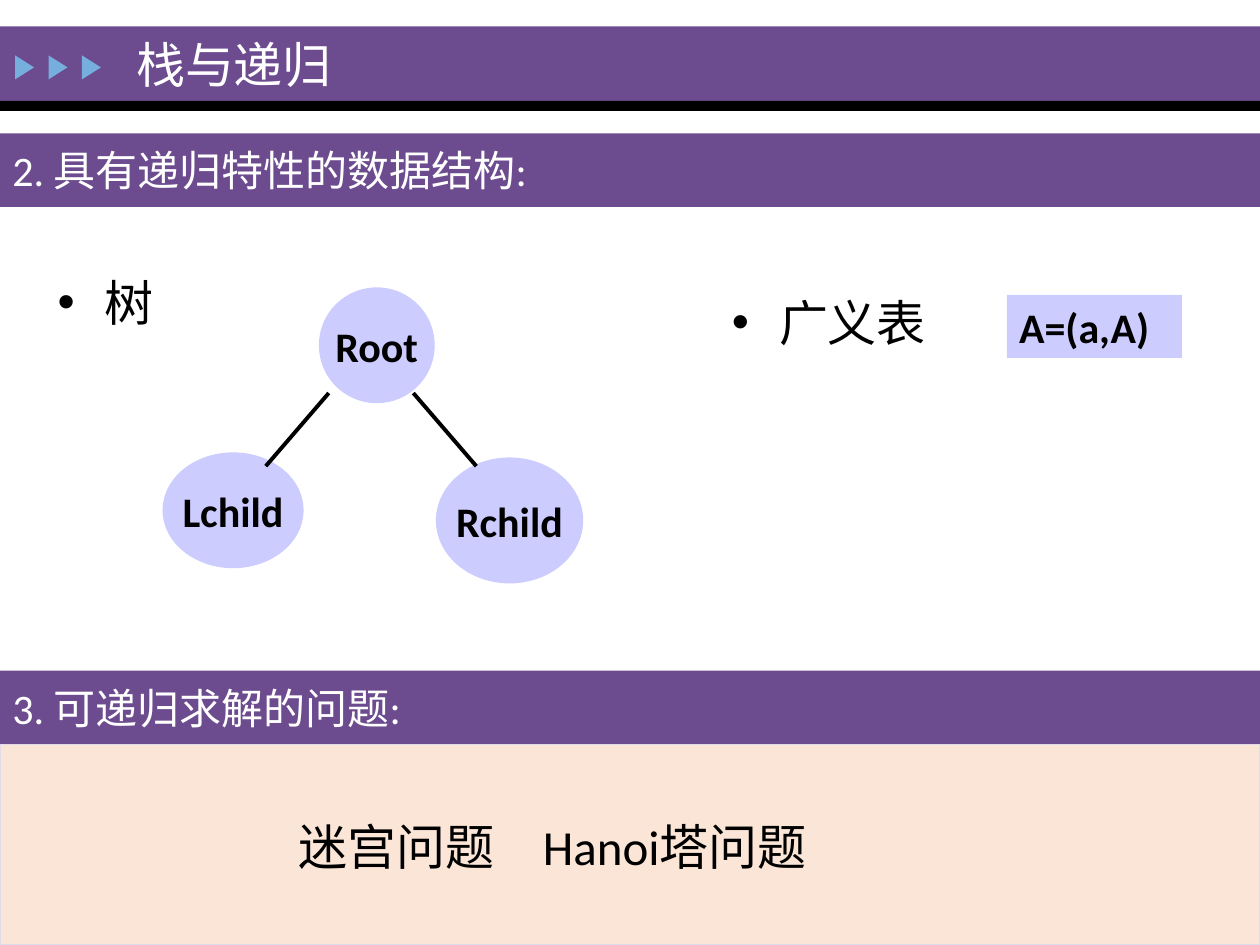
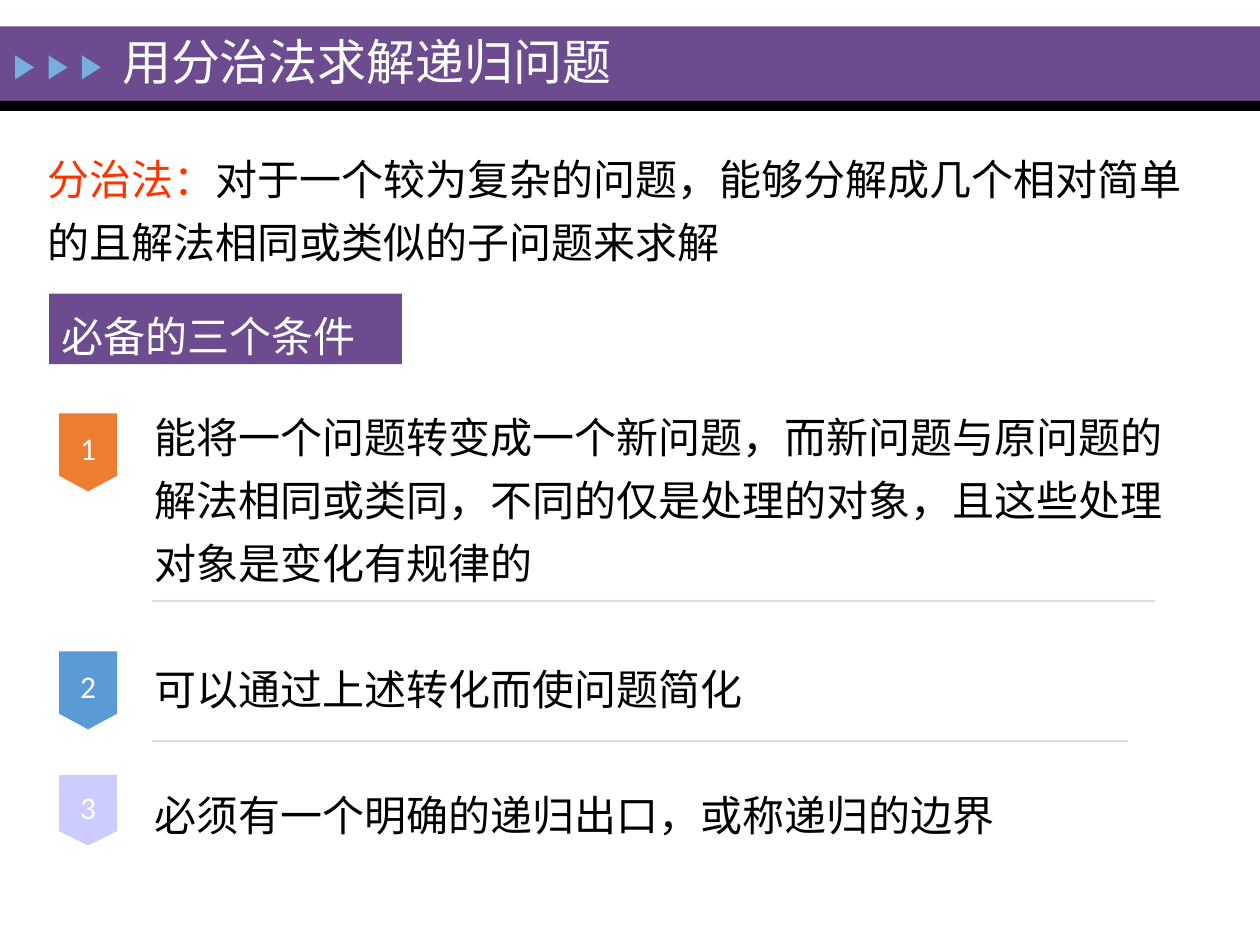
from lxml.etree import SubElement
from pptx import Presentation
from pptx.dml.color import RGBColor
from pptx.enum.shapes import MSO_CONNECTOR, MSO_SHAPE
from pptx.enum.text import MSO_ANCHOR, MSO_AUTO_SIZE, PP_ALIGN
from pptx.oxml.ns import qn
from pptx.util import Pt

FONT = "Calibri"
PURPLE, BLACK, WHITE = "6C4C8F", "000000", "FFFFFF"
LILAC, SKY, RED = "CCCCFF", "76AEDD", "FF3300"
PEACH, PALE = "FBE5D6", "E2D9EB"

SLIDE_WIDTH, SLIDE_HEIGHT = 720, 540
HEADER_BANDS = [((0, 15.1, SLIDE_WIDTH, 42.5), PURPLE),
                ((0, 57.6, SLIDE_WIDTH, 5.8), BLACK)]
ARROW_LEFT, ARROW_STEP, ARROW_COUNT = 7.2, 19.1, 3

STRUCTURES_TITLE = ("栈与递归", (70.6, 9.4, 484.6, 54))
SECTIONS = [("2. 具有递归特性的数据结构:", 76.2), ("3. 可递归求解的问题:", 383.2)]
SECTION_HEIGHT = 42
BULLETS = [("树", (25.9, 151.9, 90.7, 43.9)), ("广义表", (411.1, 163.4, 144, 49.7))]
TREE_NODES = [("Root", (182.2, 164.2, 66.2, 66.2)),
              ("Lchild", (92.9, 258.5, 80.6, 66.2)),
              ("Rchild", (249.1, 261.4, 84.2, 72))]
TREE_EDGES = [(187.9, 224.6, 151.9, 266.4), (236.2, 224.6, 272.2, 266.4)]
GENERAL_LIST = ("A=(a,A)", (575.3, 168.5, 100.1, 36))
PROBLEMS = ("迷宫问题　Hanoi塔问题", (163.4, 463, 327.6, 49.7))

DIVIDE_TITLE = ("用分治法求解递归问题", (62.6, 14.4, 297.4, 41))
DEFINITION = [[("分治法：", RED),
               ("对于一个较为复杂的问题，能够分解成几个相对简单的且解法相同或类似的子问题来求解", BLACK)]]
CONDITIONS_HEADING = ("必备的三个条件", (28.1, 167.8, 201.6, 40.3))
CONDITIONS = ["能将一个问题转变成一个新问题，而新问题与原问题的解法相同或类同，不同的仅是处理的对象，且这些处理对象是变化有规律的",
              "可以通过上述转化而使问题简化",
              "必须有一个明确的递归出口，或称递归的边界"]
CONDITION_TAGS = [(236.2, 44.6, "ED7D31"), (372.2, 44.6, "5B9BD5"), (442.8, 40.3, LILAC)]
RULES = [(87.1, 343.4, 660.2, 343.4), (87.1, 423.4, 644.4, 423.4)]


def color(value):
    return RGBColor.from_string(value)


def points(values):
    return [Pt(value) for value in values]


def add_bullet(paragraph):
    properties = paragraph._p.get_or_add_pPr()
    properties.set("marL", str(Pt(27)))
    properties.set("indent", str(Pt(-27)))
    SubElement(properties, qn("a:buFont"), typeface="Arial")
    SubElement(properties, qn("a:buChar"), char="•")


def write_text(shape, content, size=24, fill=BLACK, bold=False, align=PP_ALIGN.LEFT,
               anchor=MSO_ANCHOR.TOP, wrap=True, spacing=None, gap=0, bullet=False):
    frame = shape.text_frame
    frame.auto_size = MSO_AUTO_SIZE.NONE
    frame.word_wrap = wrap
    frame.vertical_anchor = anchor
    paragraphs = [content] if isinstance(content, str) else content
    for index, runs in enumerate(paragraphs):
        paragraph = frame.add_paragraph() if index else frame.paragraphs[0]
        if bullet:
            add_bullet(paragraph)
        paragraph.alignment = align
        if spacing:
            paragraph.line_spacing = spacing
        if index and gap:
            paragraph.space_before = Pt(gap)
        for text, run_fill in [(runs, fill)] if isinstance(runs, str) else runs:
            run = paragraph.add_run()
            run.text = text
            run.font.name = FONT
            run.font.size = Pt(size)
            run.font.bold = bold
            run.font.color.rgb = color(run_fill)


def add_block(slide, box, fill, kind=MSO_SHAPE.RECTANGLE, outline=None):
    shape = slide.shapes.add_shape(kind, *points(box))
    shape.shadow.inherit = False
    shape.fill.solid()
    shape.fill.fore_color.rgb = color(fill)
    if outline:
        shape.line.color.rgb = color(outline)
        shape.line.width = Pt(0.75)
    else:
        shape.line.fill.background()
    return shape


def add_text(slide, content, box, **style):
    write_text(slide.shapes.add_textbox(*points(box)), content, **style)


def add_line(slide, ends, stroke, width):
    connector = slide.shapes.add_connector(MSO_CONNECTOR.STRAIGHT, *points(ends))
    connector.line.color.rgb = color(stroke)
    connector.line.width = Pt(width)
    SubElement(connector._element.spPr, qn("a:effectLst"))


def add_titled_slide(presentation, title, box):
    slide = presentation.slides.add_slide(presentation.slide_layouts[5])
    shape = slide.shapes.title
    shape.left, shape.top, shape.width, shape.height = points(box)
    write_text(shape, title, size=28, fill=WHITE, anchor=MSO_ANCHOR.MIDDLE)
    return slide


def move_header_to_layout(slide):
    header = [add_block(slide, box, fill) for box, fill in HEADER_BANDS]
    for index in range(ARROW_COUNT):
        box = (ARROW_LEFT + index * ARROW_STEP, 33.1, 13.7, 10.8)
        arrow = add_block(slide, box, SKY, MSO_SHAPE.ISOSCELES_TRIANGLE)
        arrow.rotation = 90
        header.append(arrow)
    tree = slide.slide_layout.shapes._spTree
    for number, shape in enumerate(header, 101):
        shape._element.nvSpPr.cNvPr.set("id", str(number))
        tree.append(shape._element)


def build_structures(slide):
    for text, box in BULLETS:
        add_text(slide, text, box, size=28, bullet=True)
    section_bottom = SECTIONS[-1][1] + SECTION_HEIGHT
    add_block(slide, (0, section_bottom, SLIDE_WIDTH, SLIDE_HEIGHT - section_bottom),
              PEACH, outline=PALE)
    for text, top in SECTIONS:
        band = add_block(slide, (0, top, SLIDE_WIDTH, SECTION_HEIGHT), PURPLE)
        write_text(band, text, fill=WHITE, anchor=MSO_ANCHOR.MIDDLE)
    for text, box in TREE_NODES:
        node = add_block(slide, box, LILAC, MSO_SHAPE.OVAL)
        write_text(node, text, bold=True, align=PP_ALIGN.CENTER,
                   anchor=MSO_ANCHOR.MIDDLE, wrap=False)
    for ends in TREE_EDGES:
        add_line(slide, ends, BLACK, 2.25)
    text, box = GENERAL_LIST
    write_text(add_block(slide, box, LILAC), text, bold=True)
    text, box = PROBLEMS
    add_text(slide, text, box, size=28)


def build_divide(slide):
    add_text(slide, DEFINITION, (20.2, 77, 679.7, 76.3), spacing=1.25)
    text, box = CONDITIONS_HEADING
    write_text(add_block(slide, box, PURPLE), text, fill=WHITE,
               anchor=MSO_ANCHOR.MIDDLE, spacing=1.25)
    add_text(slide, CONDITIONS, (81.4, 224.6, 604.1, 258.5), spacing=1.25, gap=36)
    for number, (top, height, fill) in enumerate(CONDITION_TAGS, 1):
        tag = add_block(slide, (33.8, top, 33.1, height), fill,
                        MSO_SHAPE.FLOWCHART_OFFPAGE_CONNECTOR)
        frame = tag.text_frame
        frame.margin_left = frame.margin_right = frame.margin_bottom = 0
        frame.margin_top = Pt(4)
        write_text(tag, str(number), size=18, fill=WHITE, align=PP_ALIGN.CENTER,
                   anchor=MSO_ANCHOR.MIDDLE)
    for ends in RULES:
        add_line(slide, ends, PALE, 0.75)


def main():
    presentation = Presentation()
    presentation.slide_width, presentation.slide_height = points((SLIDE_WIDTH, SLIDE_HEIGHT))
    structures = add_titled_slide(presentation, *STRUCTURES_TITLE)
    move_header_to_layout(structures)
    build_structures(structures)
    build_divide(add_titled_slide(presentation, *DIVIDE_TITLE))
    presentation.save("out.pptx")


if __name__ == "__main__":
    main()
